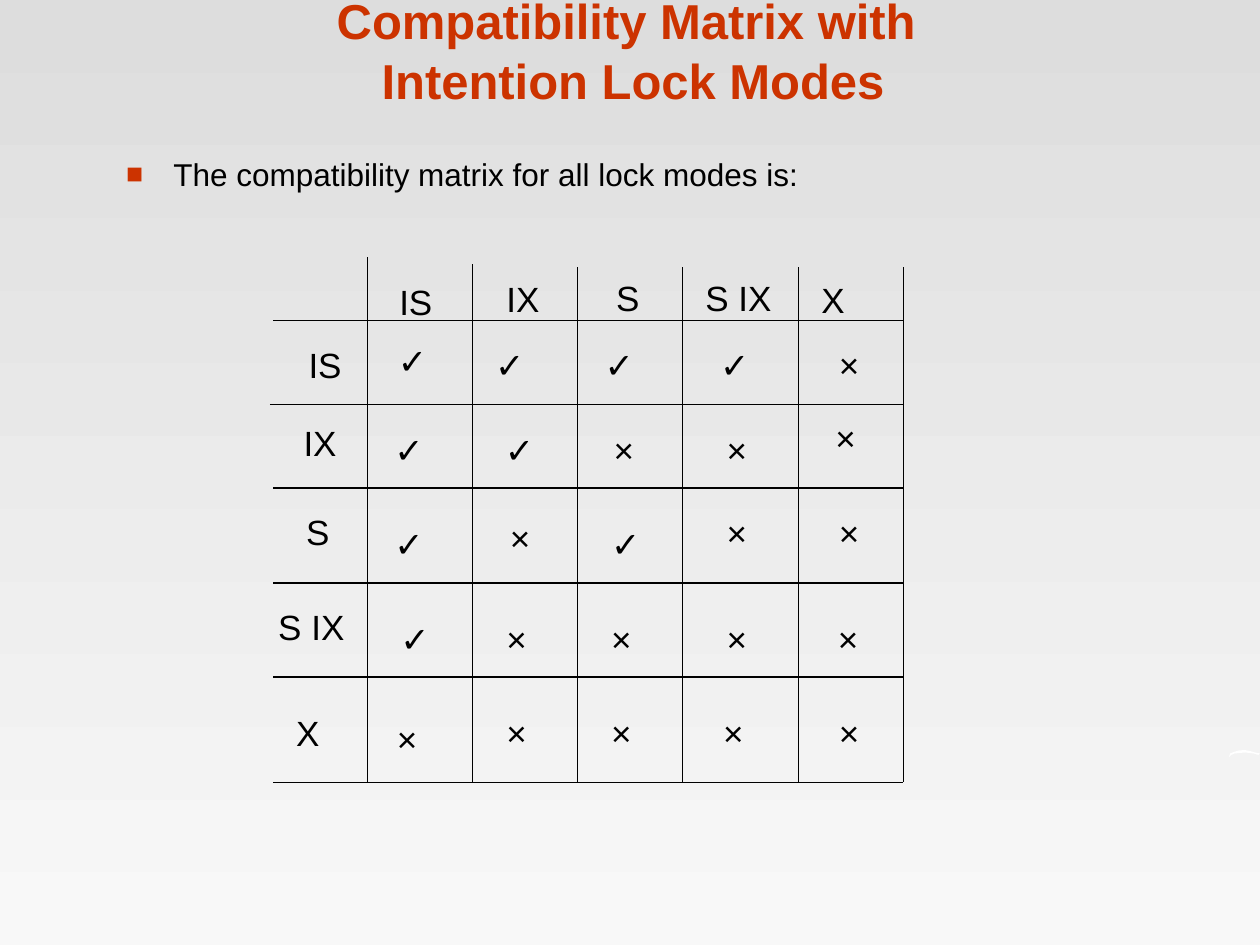
from dataclasses import dataclass

from lxml import etree
from pptx import Presentation
from pptx.dml.color import RGBColor
from pptx.enum.shapes import MSO_CONNECTOR
from pptx.enum.text import MSO_ANCHOR as Anchor, MSO_AUTO_SIZE as AutoSize, PP_ALIGN as Align
from pptx.oxml.ns import qn
from pptx.util import Cm, Pt


@dataclass(frozen=True)
class Theme:
    font: str = "Arial"
    accent: RGBColor = RGBColor(0xCC, 0x33, 0x00)
    ink: RGBColor = RGBColor(0, 0, 0)
    white: RGBColor = RGBColor(0xFF, 0xFF, 0xFF)
    sky: tuple = (RGBColor(0xDD, 0xDD, 0xDD), RGBColor(0xF8, 0xF8, 0xF8))
    title_size: int = 28
    body_size: int = 18
    cell_size: int = 20
    rule: float = 0.75


THEME = Theme()

COLUMN_RULES = [(7.41, 5.19), (9.53, 5.33), (11.64, 5.39),
                (13.76, 5.39), (16.09, 5.39), (18.21, 5.39)]
ROW_RULES = [(6.46, 5.51), (8.15, 5.44), (9.84, 5.51),
             (11.75, 5.51), (13.65, 5.51), (15.77, 5.51)]
MATRIX_RIGHT, MATRIX_BOTTOM = 18.21, 15.77

MODES = ["IS", "IX", "S", "S IX", "X"]
COLUMN_LABELS = [(7.8, 5.54), (9.96, 5.46), (12.17, 5.44), (13.97, 5.44), (16.31, 5.49)]
ROW_LABELS = [(5.97, 6.81), (5.87, 8.38), (5.92, 10.16), (5.36, 12.09), (5.72, 14.22)]
COMPATIBILITY = ["✓✓✓✓×", "✓✓×××", "✓×✓××", "✓××××", "×××××"]
MARK_LEFTS = [
    [7.77, 9.73, 11.94, 14.27, 16.66],
    [7.7, 9.93, 12.12, 14.4, 16.59],
    [7.7, 10.03, 12.07, 14.4, 16.66],
    [7.82, 9.96, 12.07, 14.4, 16.64],
    [7.75, 9.96, 12.07, 14.33, 16.66],
]
MARK_TOPS = [
    [6.71, 6.81, 6.81, 6.81, 6.81],
    [8.51, 8.51, 8.51, 8.51, 8.28],
    [10.41, 10.29, 10.41, 10.19, 10.19],
    [12.32] * 5,
    [14.33, 14.22, 14.22, 14.22, 14.22],
]
CELL_WIDTHS = {"S": 0.97, "S IX": 2, "✓": 1.09, "×": 1.07}
LABEL_WIDTH, CELL_HEIGHT = 1.17, 1.12

SWOOSH = [(24.77, 15.27), (24.8, 15.19), (24.87, 15.16), (24.97, 15.13),
          (25.09, 15.12), (25.2, 15.14), (25.3, 15.17), (25.4, 15.19),
          (25.37, 15.22), (25.27, 15.19), (25.1, 15.17), (24.89, 15.19),
          (24.82, 15.22)]


def write(frame, text, *, size, color=THEME.ink, bold=False, align=Align.LEFT,
          anchor=Anchor.TOP, wrap=True, fit=AutoSize.NONE, spacing=None, bullet=None):
    frame.text = text
    frame.word_wrap = wrap
    frame.auto_size = fit
    frame.vertical_anchor = anchor
    paragraph = frame.paragraphs[0]
    if bullet:
        add_bullet(paragraph, bullet)
    paragraph.alignment = align
    paragraph.space_before = Pt(0)
    if spacing:
        paragraph.line_spacing = spacing
    for run in paragraph.runs:
        run.font.name = THEME.font
        run.font.size = Pt(size)
        run.font.bold = bold
        run.font.color.rgb = color


def add_bullet(paragraph, symbol):
    properties = paragraph._p.get_or_add_pPr()
    properties.set("marL", str(Cm(0.95)))
    properties.set("indent", str(-Cm(0.95)))
    tint = etree.SubElement(properties, qn("a:buClr"))
    etree.SubElement(tint, qn("a:srgbClr"), val=str(THEME.accent))
    etree.SubElement(properties, qn("a:buSzPct"), val="90000")
    etree.SubElement(properties, qn("a:buChar"), char=symbol)


def place(shape, left, top, width, height):
    shape.left, shape.top, shape.width, shape.height = map(Cm, (left, top, width, height))
    return shape.text_frame


def add_rule(slide, *ends):
    rule = slide.shapes.add_connector(MSO_CONNECTOR.STRAIGHT, *map(Cm, ends))
    rule.line.color.rgb = THEME.ink
    rule.line.width = Pt(THEME.rule)
    etree.SubElement(rule._element.spPr, qn("a:effectLst"))


def add_cell(slide, text, left, top):
    width = CELL_WIDTHS.get(text, LABEL_WIDTH)
    cell = slide.shapes.add_textbox(Cm(left), Cm(top), Cm(width), Cm(CELL_HEIGHT))
    write(cell.text_frame, text, size=THEME.cell_size, wrap=False,
          fit=AutoSize.SHAPE_TO_FIT_TEXT)


def paint_background(slide):
    fill = slide.background.fill
    fill.gradient()
    fill.gradient_angle = 270
    for stop, color in zip(fill.gradient_stops, THEME.sky):
        stop.color.rgb = color


def add_swoosh(slide):
    start, *rest = [(Cm(x), Cm(y)) for x, y in SWOOSH]
    builder = slide.shapes.build_freeform(*start)
    builder.add_line_segments(rest, close=True)
    swoosh = builder.convert_to_shape()
    swoosh.shadow.inherit = False
    swoosh.fill.solid()
    swoosh.fill.fore_color.rgb = THEME.white
    swoosh.line.fill.background()


def add_matrix(slide):
    for x, top in COLUMN_RULES:
        add_rule(slide, x, top, x, MATRIX_BOTTOM)
    for y, left in ROW_RULES:
        add_rule(slide, left, y, MATRIX_RIGHT, y)
    for labels in (COLUMN_LABELS, ROW_LABELS):
        for mode, (left, top) in zip(MODES, labels):
            add_cell(slide, mode, left, top)
    for marks, lefts, tops in zip(COMPATIBILITY, MARK_LEFTS, MARK_TOPS):
        for mark, left, top in zip(marks, lefts, tops):
            add_cell(slide, mark, left, top)


def main():
    deck = Presentation()
    deck.slide_width, deck.slide_height = Cm(25.4), Cm(19.05)
    slide = deck.slides.add_slide(deck.slide_layouts[1])
    paint_background(slide)
    add_swoosh(slide)
    title, body = slide.placeholders
    write(place(title, 0.46, 0.64, 24.33, 1.7),
          "Compatibility Matrix with\v Intention Lock Modes",
          size=THEME.title_size, color=THEME.accent, bold=True,
          align=Align.CENTER, anchor=Anchor.BOTTOM, spacing=1.02)
    write(place(body, 2.29, 3, 21.79, 12.27),
          "The compatibility matrix for all lock modes is:",
          size=THEME.body_size, bullet="■")
    add_matrix(slide)
    deck.save("out.pptx")


if __name__ == "__main__":
    main()
